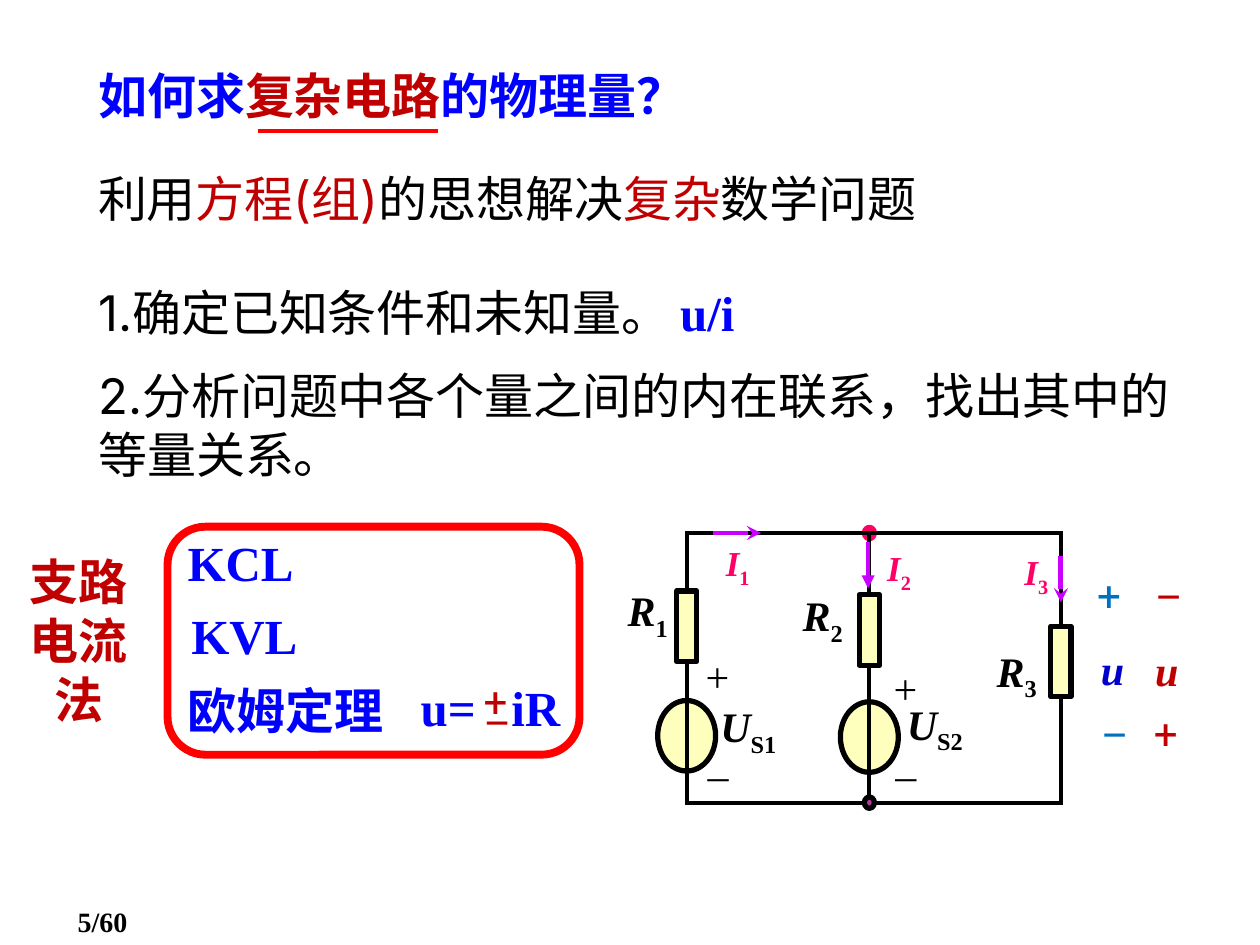
from lxml import etree
from pptx import Presentation
from pptx import util as u
from pptx.dml.color import RGBColor
from pptx.enum import shapes, text
from pptx.oxml.ns import qn

# The slide is a grid of 100 columns by 75 rows of square cells.
CELL = u.Inches(0.1)
COLS, ROWS = 100, 75

BLACK = RGBColor(0, 0, 0)
BLUE = RGBColor(0, 0, 0xFF)
DARK_BLUE = RGBColor(0, 0, 0xCC)
SKY = RGBColor(0, 0x70, 0xC0)
RED = RGBColor(0xFF, 0, 0)
DARK_RED = RGBColor(0xC0, 0, 0)
PINK = RGBColor(0xFF, 0, 0x66)
PURPLE = RGBColor(0xCC, 0, 0xFF)
PLUM = RGBColor(0xB1, 0x3F, 0x9A)
CREAM = RGBColor(0xFF, 0xFF, 0xBD)

SERIF, SANS, SIGN = "Times New Roman", "Inter", "Roboto"
HEAVY = dict(name=SERIF, size=u.Pt(28), bold=True)
PLAIN = dict(name=SANS, size=u.Pt(28))
POLARITY = dict(name=SERIF, size=u.Pt(24), color=BLACK)
SYMBOL = dict(name=SERIF, size=u.Pt(24), bold=True, italic=True, color=BLACK)
CENTRE, RIGHT = text.PP_ALIGN.CENTER, text.PP_ALIGN.RIGHT
MIDDLE = text.MSO_ANCHOR.MIDDLE

TOP_WIRE, BOTTOM_WIRE = 42.3, 63.7
BRANCHES = (54.5, 69, 84.2)


def cells(*values):
    return [round(v * CELL) for v in values]


def place(sp, at):
    sp.left, sp.top, sp.width, sp.height = cells(*at)


def add_run(p, words, color=None, sub=False, **fmt):
    r = p.add_run()
    r.text = words
    for key, value in fmt.items():
        setattr(r.font, key, value)
    if color is not None:
        r.font.color.rgb = color
    if sub:
        r.font._element.set("baseline", "-25000")


def set_frame(sp, wrap=True, anchor=text.MSO_ANCHOR.TOP):
    tf = sp.text_frame
    tf.auto_size = text.MSO_AUTO_SIZE.NONE
    tf.word_wrap = wrap
    tf.vertical_anchor = anchor
    return tf


def add_label(s, at, words, align=None, wrap=True,
              anchor=text.MSO_ANCHOR.TOP, sub="", spacing=None, **fmt):
    """Add a text box; sub is an upright subscript after the words."""
    sp = s.shapes.add_textbox(*cells(*at))
    p = set_frame(sp, wrap, anchor).paragraphs[0]
    p.alignment = align
    p.line_spacing = spacing
    add_run(p, words, **fmt)
    if sub:
        add_run(p, sub, sub=True, **{**fmt, "italic": False})
    return p


def add_centred(s, at, words, **fmt):
    add_label(s, at, words, align=CENTRE, wrap=False, anchor=MIDDLE, **fmt)


def add_sign(s, x, y, sign, color):
    """Add a plus or minus whose text box starts at x, y."""
    height, spacing = (5, None) if sign == "+" else (4.2, 0.8)
    add_label(s, (x, y, 3.9, height), sign, spacing=spacing,
              name=SIGN, size=u.Pt(24), color=color)


def add_line(s, start, end, color=BLACK, width=2.25, head=None):
    sp = s.shapes.add_connector(shapes.MSO_CONNECTOR.STRAIGHT,
                                *cells(*start, *end))
    sp.line.color.rgb = color
    sp.line.width = u.Pt(width)
    etree.SubElement(sp._element.spPr, qn("a:effectLst"))
    if head:
        etree.SubElement(sp.line._get_or_add_ln(), qn("a:tailEnd"), type=head)


def add_shape(s, kind, at, fill=None, line=BLACK, width=3):
    sp = s.shapes.add_shape(kind, *cells(*at))
    sp.shadow.inherit = False
    if fill is None:
        sp.fill.background()
    else:
        sp.fill.solid()
        sp.fill.fore_color.rgb = fill
    sp.line.color.rgb = line
    sp.line.width = u.Pt(width)
    return sp


def add_node(s, x, y, fill, line):
    add_shape(s, shapes.MSO_SHAPE.OVAL, (x - 0.4, y - 0.45, 0.8, 0.9), fill, line)


def add_branch(s, x, resistor_top, source_top=None):
    """Add an upright wire with a resistor and, if asked, a voltage source."""
    if source_top:
        add_shape(s, shapes.MSO_SHAPE.OVAL, (x - 2.3, source_top, 4.6, 5.6), CREAM)
    add_line(s, (x, TOP_WIRE), (x, BOTTOM_WIRE))
    add_shape(s, shapes.MSO_SHAPE.RECTANGLE, (x - 0.8, resistor_top, 1.6, 5.6), CREAM)


def add_heading(s):
    title = s.shapes.title
    place(title, (6.8, 4.7, 59, 5.7))
    p = set_frame(title).paragraphs[0]
    p.alignment = text.PP_ALIGN.LEFT
    for words, color in (("如何求", BLUE), ("复杂电路", DARK_RED), ("的物理量？", BLUE)):
        add_run(p, words, color, **HEAVY)
    add_line(s, (20.5, 10.4), (34.8, 10.4), RED)


def add_steps(s):
    p = add_label(s, (6.8, 12.9, 73.8, 5.7), "利用", color=BLACK, **PLAIN)
    for words, color in (("方程(组)", DARK_RED), ("的思想解决", BLACK),
                         ("复杂", DARK_RED), ("数学问题", BLACK)):
        add_run(p, words, color, **PLAIN)

    body = s.placeholders[1]
    place(body, (6.8, 21.9, 87.3, 17))
    tf = set_frame(body)
    steps = ("1.确定已知条件和未知量。", "2.分析问题中各个量之间的内在联系，找出其中的等量关系。")
    for i, words in enumerate(steps):
        p = tf.add_paragraph() if i else tf.paragraphs[0]
        pPr = p._p.get_or_add_pPr()
        pPr.set("marL", "0")
        pPr.set("indent", "0")
        etree.SubElement(pPr, qn("a:buNone"))
        p.space_before = u.Pt(14 if i else 0)
        add_run(p, words, BLACK, **PLAIN)
    add_label(s, (53, 21.9, 7.5, 5.7), "u/i", color=BLUE, **HEAVY)


def add_method(s):
    add_label(s, (0.1, 43.3, 12.3, 15), "支路电流法", CENTRE, color=DARK_RED, **HEAVY)
    for x, y, width, words in ((13.9, 41.8, 14.3, "KCL"), (14.2, 47.6, 14.3, "KVL"),
                               (13.9, 53.5, 18.1, "欧姆定理")):
        add_label(s, (x, y, width, 5.7), words, color=BLUE, **HEAVY)
    p = add_label(s, (32.4, 53.3, 14.3, 5.7), "u=\tiR", color=BLUE, **HEAVY)
    tabs = etree.SubElement(p._p.get_or_add_pPr(), qn("a:tabLst"))
    etree.SubElement(tabs, qn("a:tab"), pos=str(u.Inches(0.72)), algn="l")
    add_sign(s, 37.4, 53.1, "+", DARK_RED)
    add_sign(s, 37.4, 55.6, "–", DARK_RED)
    add_shape(s, shapes.MSO_SHAPE.ROUNDED_RECTANGLE, (13.3, 41.8, 32.7, 18.1),
              line=RED, width=4.5)


def add_circuit(s):
    left, middle, right = BRANCHES
    add_node(s, middle, TOP_WIRE, PINK, PINK)
    for y in (TOP_WIRE, BOTTOM_WIRE):
        add_line(s, (left - 0.1, y), (right + 0.2, y))
    add_branch(s, left, 46.9, 55.6)
    add_branch(s, middle, 47.2, 55.7)
    add_branch(s, right, 49.7)
    add_node(s, middle, BOTTOM_WIRE, PLUM, BLACK)

    for x, y, width, words, sub in ((48.8, 45.9, 5.2, "R", "1"), (62.7, 46.3, 5.2, "R", "2"),
                                    (78.1, 50.7, 5.2, "R", "3"), (56.2, 55.1, 6.4, "U", "S1"),
                                    (71, 54.9, 6.4, "U", "S2")):
        add_centred(s, (x, y, width, 5.6), words, sub=sub, **SYMBOL)
    for x, plus_y in ((55, 51.1), (69.9, 52.1)):
        add_centred(s, (x, plus_y, 3.9, 5), "+", **POLARITY)
        add_centred(s, (x + 0.2, 58.9, 3.6, 5), "–", **POLARITY)

    current = {**SYMBOL, "size": u.Pt(20), "color": PINK}
    for x, y, sub in ((56.6, 42.5, "1"), (69.4, 42.9, "2"), (80.3, 43.2, "3")):
        add_centred(s, (x, y, 3.9, 4.8), "I", sub=sub, **current)
    add_line(s, (56.6, TOP_WIRE), (60.4, TOP_WIRE), PURPLE, 2.75, "stealth")
    add_line(s, (middle - 0.1, 43), (middle - 0.1, 46.7), PURPLE, 2.5, "triangle")
    add_line(s, (right, 44.1), (right, 47.8), PURPLE, 2.75, "stealth")


def add_voltages(s):
    add_sign(s, 86.1, 44.7, "+", SKY)
    add_sign(s, 86.4, 56.5, "–", SKY)
    add_sign(s, 90.7, 45.6, "–", DARK_RED)
    add_sign(s, 90.6, 55.7, "+", DARK_RED)
    for x, y, color in ((86.4, 50.6, DARK_BLUE), (90.7, 50.7, DARK_RED)):
        add_label(s, (x, y, 3.8, 5), "u", CENTRE, False, **{**SYMBOL, "color": color})


def main():
    prs = Presentation()
    prs.slide_width, prs.slide_height = COLS * CELL, ROWS * CELL
    s = prs.slides.add_slide(prs.slide_layouts[1])
    add_heading(s)
    add_steps(s)
    add_method(s)
    add_circuit(s)
    add_voltages(s)
    add_label(s, (1.1, 71.3, 10, 3.7), "5/60", RIGHT,
              **{**HEAVY, "size": u.Pt(16), "color": BLACK})
    prs.save("out.pptx")


if __name__ == "__main__":
    main()
